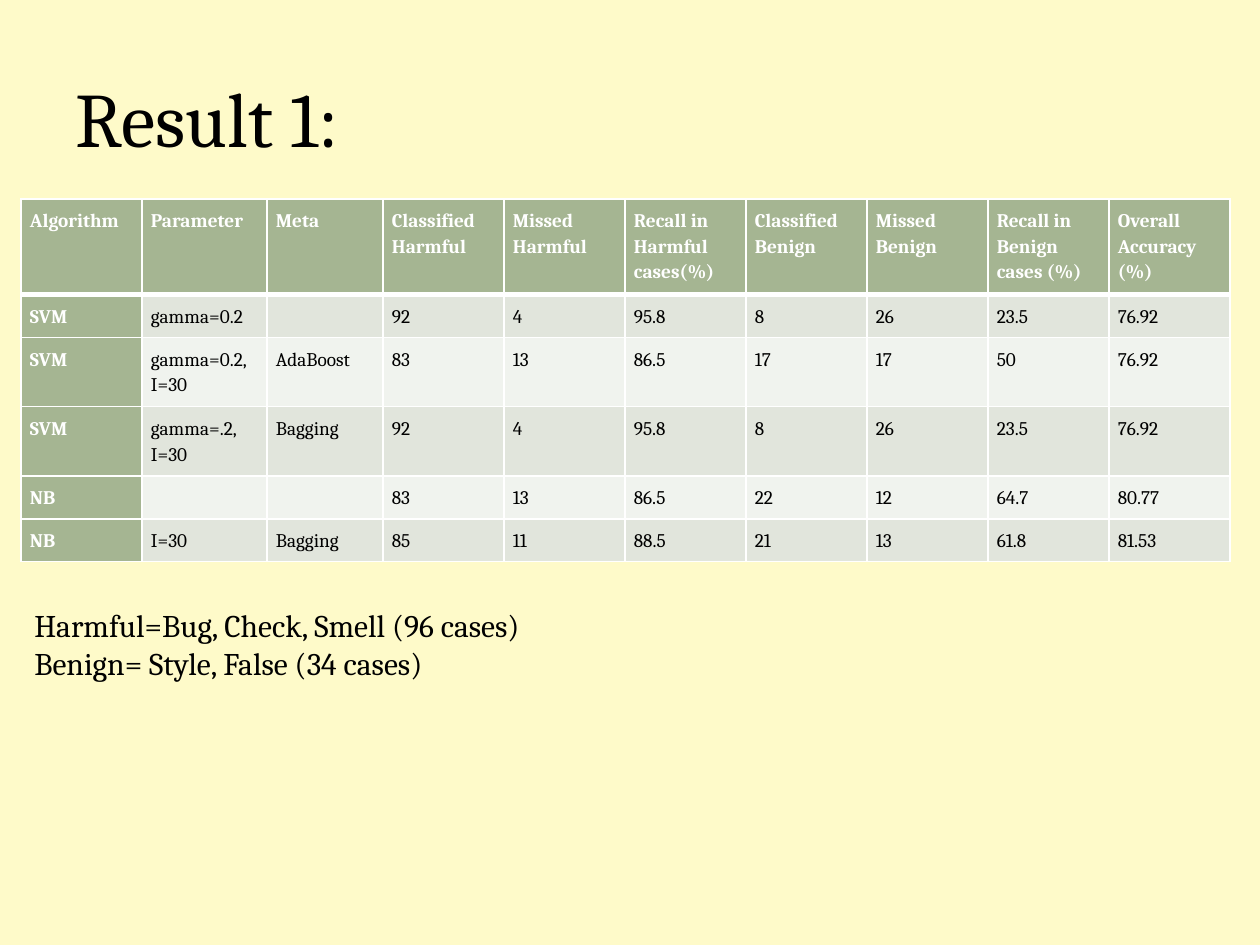
"""Build the Result 1 slide: a table of classifier results with a short legend."""
from lxml import etree
from pptx import Presentation
from pptx import util as u
from pptx.dml.color import RGBColor
from pptx.enum import text
from pptx.oxml import ns

TITLE = "Result 1:"
HEADER = ["Algorithm", "Parameter", "Meta", "Classified Harmful", "Missed Harmful",
          "Recall in Harmful cases(%)", "Classified Benign", "Missed Benign",
          "Recall in Benign cases (%)", "Overall Accuracy (%)"]
RESULTS = [
    ["SVM", "gamma=0.2", "", "92", "4", "95.8", "8", "26", "23.5", "76.92"],
    ["SVM", "gamma=0.2, I=30", "AdaBoost", "83", "13", "86.5", "17", "17", "50", "76.92"],
    ["SVM", "gamma=.2, I=30", "Bagging", "92", "4", "95.8", "8", "26", "23.5", "76.92"],
    ["NB", "", "", "83", "13", "86.5", "22", "12", "64.7", "80.77"],
    ["NB", "I=30", "Bagging", "85", "11", "88.5", "21", "13", "61.8", "81.53"],
]
LEGEND = ["Harmful=Bug, Check, Smell (96 cases)", "Benign= Style, False (34 cases)"]

COLUMN_WIDTHS = [121, 125, 116] + [121] * 7
ROW_HEIGHTS = [94, 43, 69, 69, 43, 43]
PIXEL = u.Inches(1) / 126
FONT = "Cambria"
CREAM = RGBColor(0xFE, 0xFA, 0xC9)
GREEN = RGBColor(0xA5, 0xB5, 0x92)
BANDS = [RGBColor(0xF0, 0xF3, 0xEE), RGBColor(0xE1, 0xE5, 0xDC)]
WHITE = RGBColor(0xFF, 0xFF, 0xFF)
BLACK = RGBColor(0, 0, 0)


def px(pixels):
    return u.Emu(round(pixels * PIXEL))


def add_span(para, words, size, color=BLACK, bold=False):
    span = para.add_run()
    span.text = words
    span.font.name = FONT
    span.font.size = u.Pt(size)
    span.font.bold = bold
    span.font.color.rgb = color


def add_box(page, left, top, width, height, lines, size, anchor):
    frame = page.shapes.add_textbox(px(left), px(top), px(width), px(height)).text_frame
    frame.word_wrap = True
    frame.vertical_anchor = anchor
    for index, line in enumerate(lines):
        para = frame.add_paragraph() if index else frame.paragraphs[0]
        add_span(para, line, size)


def set_borders(cell, bottom):
    properties = cell._tc.get_or_add_tcPr()
    widths = {"lnL": 1, "lnR": 1, "lnT": 1, "lnB": bottom}
    for position, (side, points) in enumerate(widths.items()):
        line = etree.Element(ns.qn("a:" + side), w=str(u.Pt(points)))
        fill = etree.SubElement(line, ns.qn("a:solidFill"))
        etree.SubElement(fill, ns.qn("a:srgbClr"), val=str(WHITE))
        properties.insert(position, line)


def fill_cell(cell, words, row, column):
    heading = row == 0 or column == 0
    cell.fill.solid()
    cell.fill.fore_color.rgb = GREEN if heading else BANDS[row % 2]
    cell.margin_left = cell.margin_right = px(9)
    cell.margin_top = cell.margin_bottom = px(8)
    para = cell.text_frame.paragraphs[0]
    para.line_spacing = 1.15
    if words:
        add_span(para, words, 11, WHITE if heading else BLACK, heading)
    else:
        etree.SubElement(para._p, ns.qn("a:endParaRPr"), sz="1100")
    set_borders(cell, 1 if row else 3)


def add_results(page, left, top):
    rows = [HEADER] + RESULTS
    table = page.shapes.add_table(len(rows), len(HEADER), px(left), px(top),
                                  px(sum(COLUMN_WIDTHS)), px(sum(ROW_HEIGHTS))).table
    for column, width in zip(table.columns, COLUMN_WIDTHS):
        column.width = px(width)
    for line, height in zip(table.rows, ROW_HEIGHTS):
        line.height = px(height)
    for row, values in enumerate(rows):
        for column, words in enumerate(values):
            fill_cell(table.cell(row, column), words, row, column)


deck = Presentation()
deck.slide_width, deck.slide_height = px(1260), px(945)
page = deck.slides.add_slide(deck.slide_layouts[6])
page.background.fill.solid()
page.background.fill.fore_color.rgb = CREAM
add_box(page, 63, 38, 1134, 157, [TITLE], 44, text.MSO_ANCHOR.MIDDLE)
add_results(page, 21, 199)
add_box(page, 22, 600, 714, 89, LEGEND, 18, text.MSO_ANCHOR.TOP)
deck.save("out.pptx")
